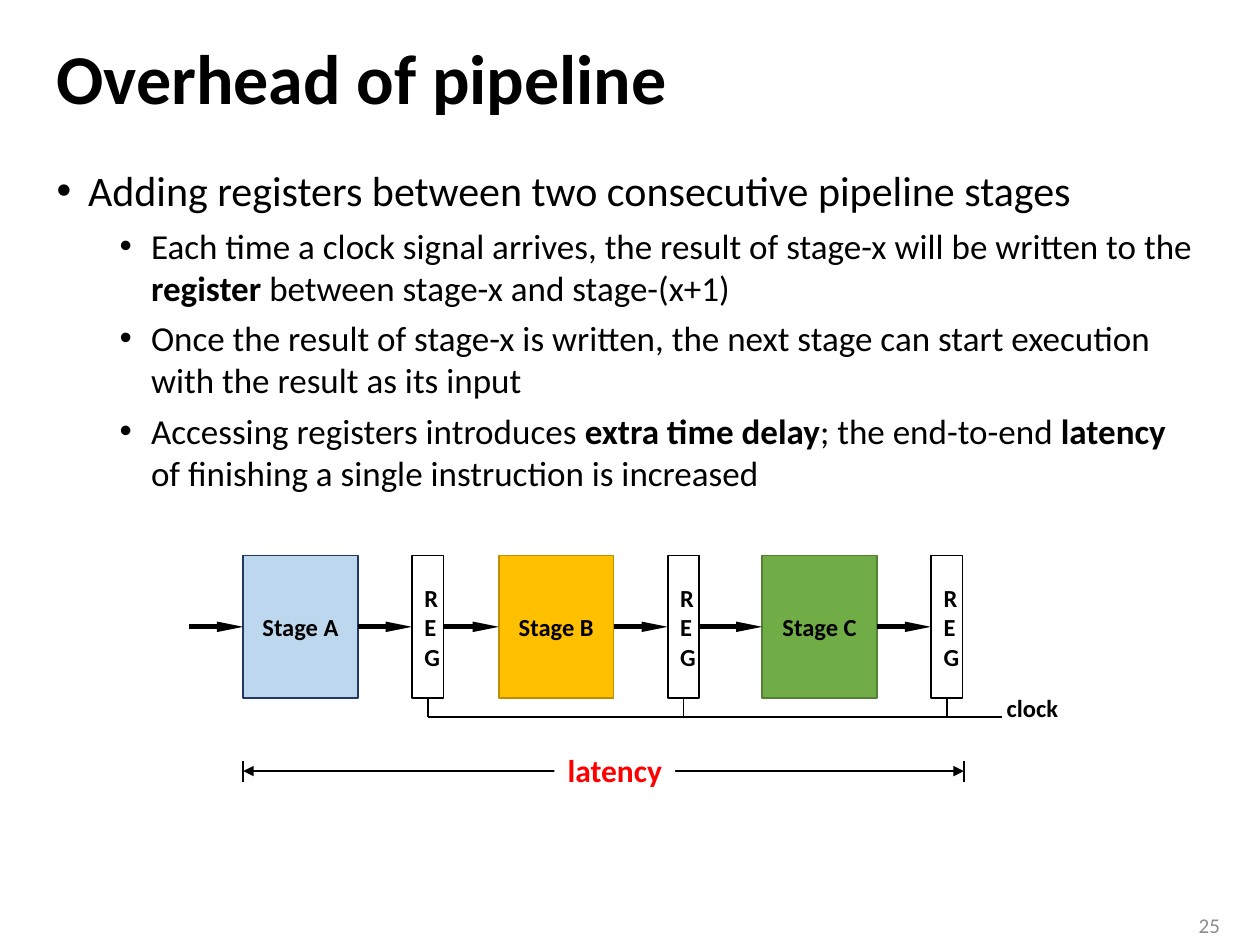
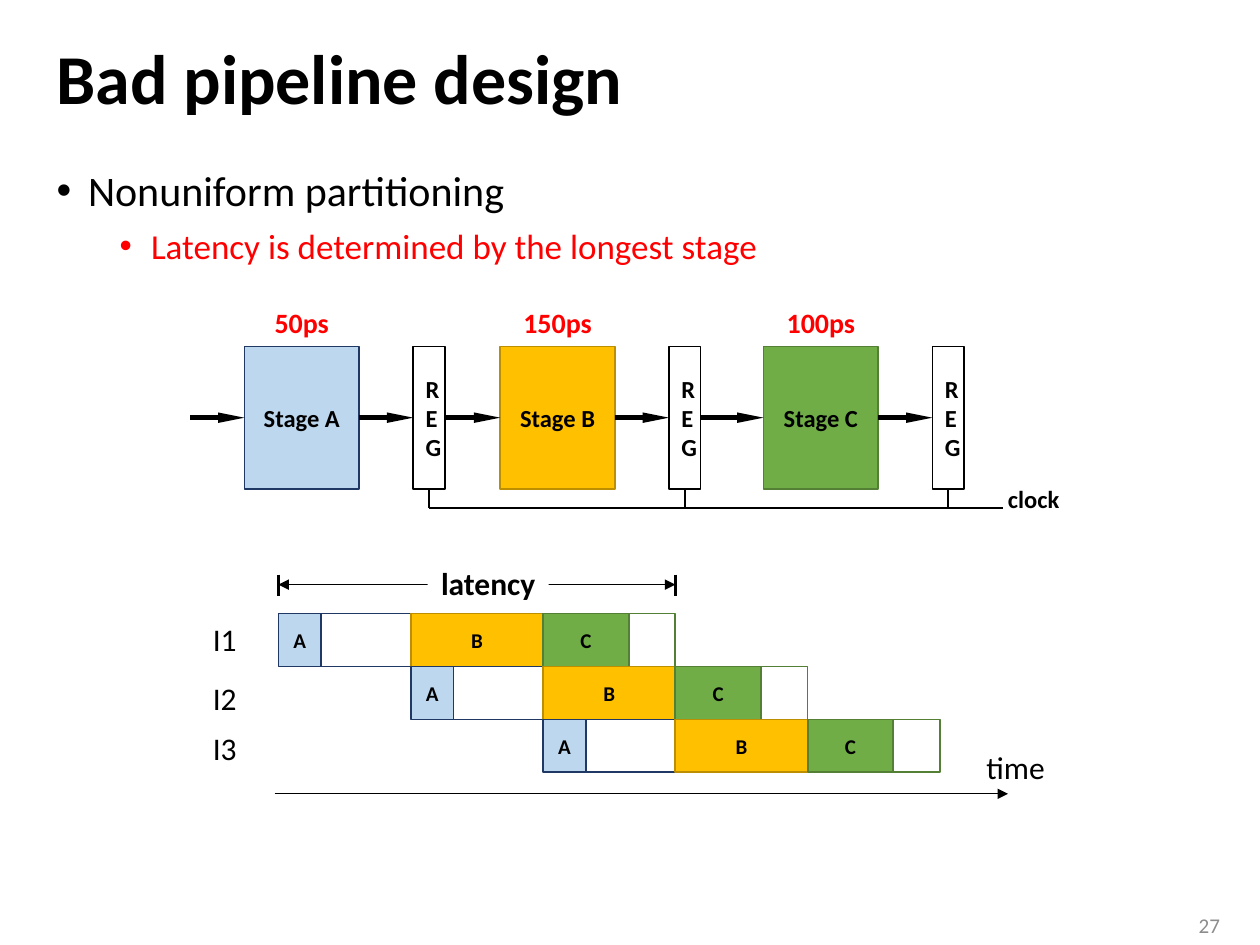
import lxml.etree
import pptx
import pptx.dml.color
import pptx.enum.shapes
import pptx.enum.text
import pptx.oxml.ns
import pptx.util

Inches = pptx.util.Inches
Pt = pptx.util.Pt
ALIGN = pptx.enum.text.PP_ALIGN
ANCHOR = pptx.enum.text.MSO_ANCHOR
AUTO_SIZE = pptx.enum.text.MSO_AUTO_SIZE
qn = pptx.oxml.ns.qn

COLORS = {
    "text": "000000",
    "paper": "FFFFFF",
    "accent": "FF0000",
    "page": "8C8C8C",
    "A": "BDD7EE",
    "A line": "203864",
    "B": "FFC000",
    "B line": "BD8E00",
    "C": "70AD47",
    "C line": "538035",
}

FONTS = {
    "title": {"name": "Calibri", "size": Pt(40), "bold": True},
    "point": {"name": "Calibri", "size": Pt(24), "bold": False},
    "subpoint": {"name": "Calibri", "size": Pt(20), "bold": False},
    "page": {"name": "Calibri", "size": Pt(12), "bold": False},
    "block": {"name": "Calibri", "size": Pt(14), "bold": True},
    "cell": {"name": "Calibri", "size": Pt(12), "bold": True},
    "delay": {"name": "Calibri", "size": Pt(16), "bold": True},
    "latency": {"name": "Calibri", "size": Pt(18), "bold": True},
    "axis": {"name": "Calibri", "size": Pt(18), "bold": False},
}

BULLETS = {
    "point": {"level": 0, "space_before": Pt(10)},
    "subpoint": {"level": 1, "space_before": Pt(5)},
}
BULLET_INDENTS = {"point": 0.25, "subpoint": 0.75}

STAGE_OFFSETS = {"A": 0, "B": 2.03, "C": 4.12}
STAGE_WIDTH, REGISTER_WIDTH, BLOCK_HEIGHT = 0.91, 0.25, 1.13
REGISTER_OFFSET = 1.34
ARROW_LENGTH = 0.43
CLOCK_DROP = 0.15

SLOT_WIDTH, ROW_HEIGHT = 1.05, 0.42
BUSY_WIDTHS = {"A": 0.34, "B": 1.05, "C": 0.68}


def rgb(color):
    return pptx.dml.color.RGBColor.from_string(COLORS[color])


def apply_formats(target, formats):
    for name, value in formats.items():
        setattr(target, name, value)


def add_run(paragraph, text, font, color="text"):
    run = paragraph.add_run()
    run.text = text
    apply_formats(run.font, FONTS[font])
    run.font.color.rgb = rgb(color)
    return run


def write_lines(shape, text, font, color="text", align=ALIGN.LEFT):
    frame = shape.text_frame
    for index, line in enumerate(text.split("\n")):
        paragraph = frame.add_paragraph() if index else frame.paragraphs[0]
        paragraph.alignment = align
        add_run(paragraph, line, font, color)


def add_text(shapes, text, box, font, color="text", align=ALIGN.LEFT, **frame_formats):
    shape = shapes.add_textbox(*map(Inches, box))
    apply_formats(shape.text_frame, {"word_wrap": True, **frame_formats})
    write_lines(shape, text, font, color, align)
    return shape


def add_label(shapes, text, box, font, color="text"):
    return add_text(shapes, text, box, font, color,
                    word_wrap=False, auto_size=AUTO_SIZE.SHAPE_TO_FIT_TEXT)


def add_box(shapes, box, fill, line=None, text="", font="block", color="text"):
    shape = shapes.add_shape(pptx.enum.shapes.MSO_SHAPE.RECTANGLE, *map(Inches, box))
    shape.shadow.inherit = False
    shape.fill.solid()
    shape.fill.fore_color.rgb = rgb(fill)
    if line:
        shape.line.color.rgb = rgb(line)
        shape.line.width = Pt(1)
    else:
        shape.line.fill.background()
    if text:
        shape.text_frame.vertical_anchor = ANCHOR.MIDDLE
        write_lines(shape, text, font, color, ALIGN.CENTER)
    return shape


def add_line(shapes, start, end, width=1, head=None, tail=None):
    connector = shapes.add_connector(
        pptx.enum.shapes.MSO_CONNECTOR.STRAIGHT, *map(Inches, (*start, *end)))
    connector.line.color.rgb = rgb("text")
    connector.line.width = Pt(width)
    outline = connector.line._get_or_add_ln()
    for tag, size in (("a:headEnd", head), ("a:tailEnd", tail)):
        if size:
            arrowhead = lxml.etree.SubElement(outline, qn(tag))
            arrowhead.set("type", "triangle")
            arrowhead.set("w", size[0])
            arrowhead.set("len", size[1])
    lxml.etree.SubElement(connector._element.spPr, qn("a:effectLst"))
    return connector


def add_bullet(paragraph, kind, text, color="text"):
    apply_formats(paragraph, BULLETS[kind])
    properties = paragraph._p.get_or_add_pPr()
    properties.set("marL", str(Inches(BULLET_INDENTS[kind])))
    properties.set("indent", str(Inches(-0.25)))
    lxml.etree.SubElement(properties, qn("a:buFont")).set("typeface", "Arial")
    lxml.etree.SubElement(properties, qn("a:buChar")).set("char", "•")
    for index, part in enumerate(text.split("*")):
        add_run(paragraph, part, kind, color).font.bold = index % 2 == 1


def add_body(slide, bullets):
    body = slide.shapes.add_textbox(*map(Inches, (0.35, 1.26, 9.29, 5.83)))
    frame = body.text_frame
    frame.word_wrap = True
    for index, bullet in enumerate(bullets):
        paragraph = frame.add_paragraph() if index else frame.paragraphs[0]
        add_bullet(paragraph, *bullet)


def add_content_slide(presentation, title, number, bullets):
    slide = presentation.slides.add_slide(presentation.slide_layouts[6])
    heading = add_text(slide.shapes, title, (0.35, 0.19, 9.29, 0.92), "title",
                       vertical_anchor=ANCHOR.MIDDLE)
    heading.text_frame.paragraphs[0].line_spacing = 0.9
    add_body(slide, bullets)
    add_text(slide.shapes, number, (9.27, 7.19, 0.51, 0.31), "page", "page",
             ALIGN.RIGHT, vertical_anchor=ANCHOR.MIDDLE)
    return slide


def add_pipeline(slide, left, top, delays=None):
    shapes = slide.shapes.add_group_shape().shapes
    middle = top + BLOCK_HEIGHT / 2
    bottom = top + BLOCK_HEIGHT
    clock_y = bottom + CLOCK_DROP
    blocks, registers = [], []
    for name, offset in STAGE_OFFSETS.items():
        x = left + offset
        register_x = x + REGISTER_OFFSET
        stage = add_box(shapes, (x, top, STAGE_WIDTH, BLOCK_HEIGHT),
                        name, f"{name} line", f"Stage {name}")
        register = add_box(shapes, (register_x, top, REGISTER_WIDTH, BLOCK_HEIGHT),
                           "paper", "text", "R\nE\nG")
        blocks += [stage, register]
        registers.append((register, register_x + REGISTER_WIDTH / 2))
        if delays:
            add_text(shapes, delays[name], (x, top - 0.37, STAGE_WIDTH, 0.37),
                     "delay", "accent", ALIGN.CENTER)

    for source, target in zip([None] + blocks, blocks):
        arrow = add_line(shapes, (left - ARROW_LENGTH, middle), (left, middle),
                         3, tail=("sm", "lg"))
        if source:
            arrow.begin_connect(source, 3)
        arrow.end_connect(target, 1)

    add_line(shapes, (registers[0][1], clock_y), (left + 6.02, clock_y))
    for register, center in registers:
        drop = add_line(shapes, (center, bottom), (center, clock_y))
        drop.begin_connect(register, 2)
    add_label(shapes, "clock", (left + 5.96, top + 1.04, 0.62, 0.34), "block")


def add_latency(slide, left, right, y, color):
    shapes = slide.shapes.add_group_shape().shapes
    medium = ("med", "med")
    add_line(shapes, (left, y), (right, y), head=medium, tail=medium)
    for x in (left, right):
        add_line(shapes, (x, y - 0.08), (x, y + 0.09), 1.5)
    label_x = (left + right) / 2 - 0.39
    label = add_box(shapes, (label_x, y - 0.21, 0.96, 0.4), "paper",
                    text="latency", font="latency", color=color)
    label.text_frame.word_wrap = False


def add_timeline(slide, left, top):
    shapes = slide.shapes.add_group_shape().shapes
    label_tops = {"I1": 4.87, "I2": 5.34, "I3": 5.74}
    for row, (instruction, label_top) in enumerate(label_tops.items()):
        y = top + row * ROW_HEIGHT
        add_label(shapes, instruction, (1.59, label_top, 0.39, 0.4), "axis")
        for slot, (name, busy) in enumerate(BUSY_WIDTHS.items()):
            x = left + (row + slot) * SLOT_WIDTH
            outline = f"{name} line"
            add_box(shapes, (x, y, busy, ROW_HEIGHT), name, outline, name, "cell")
            if busy < SLOT_WIDTH:
                add_box(shapes, (x + busy, y, SLOT_WIDTH - busy, ROW_HEIGHT),
                        "paper", outline)
    add_line(shapes, (2.18, 6.3), (8, 6.3), 0.5, tail=("med", "med"))
    add_label(shapes, "time", (7.73, 5.89, 0.67, 0.4), "axis")


def build_overhead_slide(presentation):
    slide = add_content_slide(presentation, "Overhead of pipeline", "25", [
        ("point", "Adding registers between two consecutive pipeline stages"),
        ("subpoint", "Each time a clock signal arrives, the result of stage-x will be "
                     "written to the *register* between stage-x and stage-(x+1)"),
        ("subpoint", "Once the result of stage-x is written, the next stage can start "
                     "execution with the result as its input"),
        ("subpoint", "Accessing registers introduces *extra time delay*; the end-to-end "
                     "*latency* of finishing a single instruction is increased"),
    ])
    add_pipeline(slide, 1.93, 4.41)
    add_latency(slide, 1.93, 7.65, 6.12, "accent")


def build_bad_design_slide(presentation):
    slide = add_content_slide(presentation, "Bad pipeline design", "27", [
        ("point", "Nonuniform partitioning"),
        ("subpoint", "Latency is determined by the longest stage", "accent"),
    ])
    add_pipeline(slide, 1.94, 2.75, {"A": "50ps", "B": "150ps", "C": "100ps"})
    add_timeline(slide, 2.21, 4.87)
    add_latency(slide, 2.21, 5.36, 4.64, "text")


def main():
    presentation = pptx.Presentation()
    presentation.slide_width = Inches(10)
    presentation.slide_height = Inches(7.5)
    build_overhead_slide(presentation)
    build_bad_design_slide(presentation)
    presentation.save("out.pptx")


if __name__ == "__main__":
    main()
